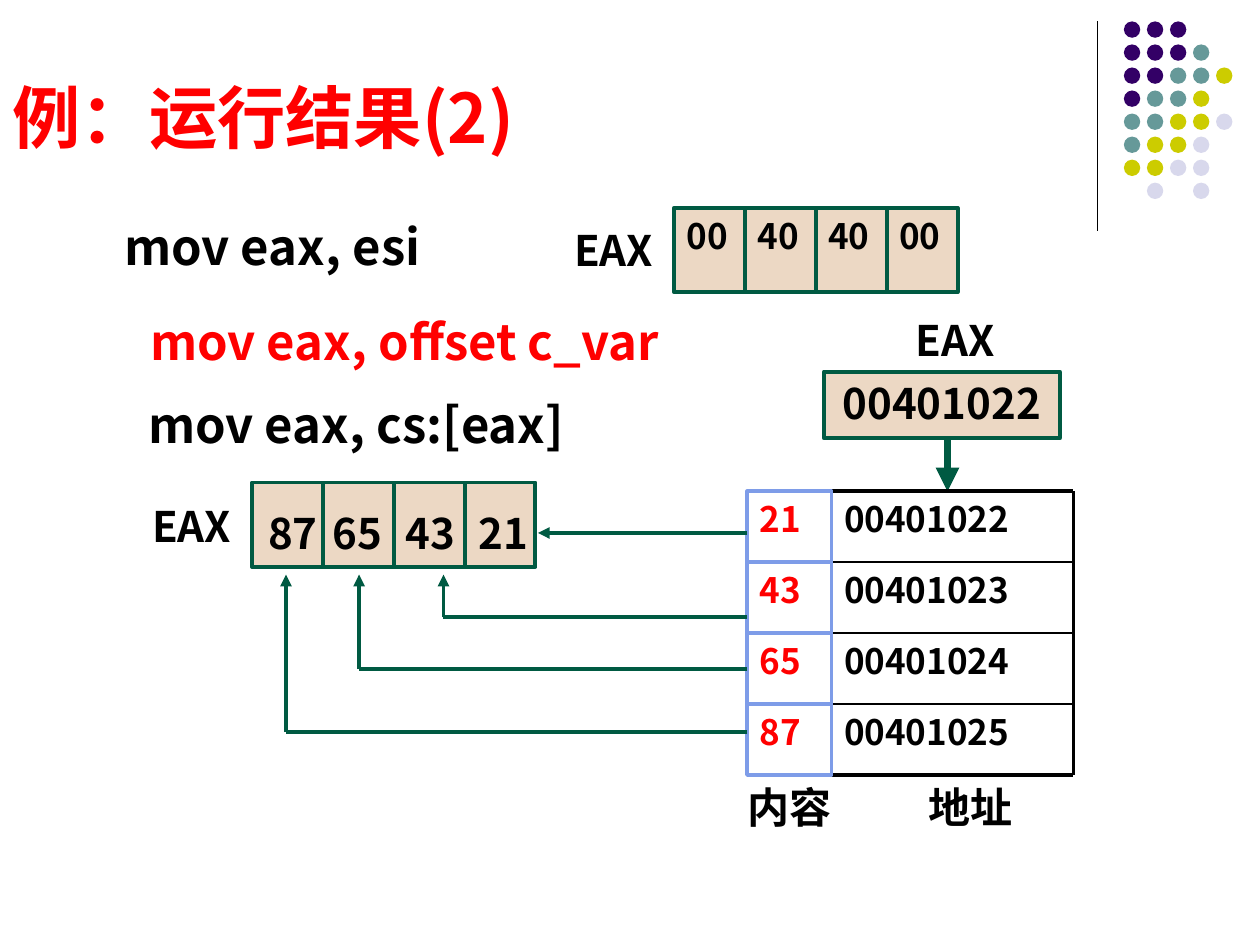
import pptx
import pptx.dml.color
import pptx.enum.shapes
import pptx.enum.text
import pptx.oxml
import pptx.oxml.ns
import pptx.util
from pptx.util import Inches

FONT = "Noto Sans CJK SC"
BLACK, RED, GREEN, SAND, BLUE = "000000", "FF0000", "005A42", "ECD8C4", "7E9CE8"
ALIGN = pptx.enum.text.PP_ALIGN
ANCHOR = pptx.enum.text.MSO_ANCHOR
SHAPE = pptx.enum.shapes.MSO_SHAPE


def paint(code):
    return pptx.dml.color.RGBColor.from_string(code)


def attach(parent, tag, **attrs):
    node = pptx.oxml.parse_xml(f"<a:{tag} {pptx.oxml.ns.nsdecls('a')}/>")
    for name, value in attrs.items():
        node.set(name, value)
    parent.append(node)


class Page:
    def __init__(self, deck):
        self.slide = deck.slides.add_slide(deck.slide_layouts[5])
        self.shapes = self.slide.shapes

    def letter(self, shape, text, size, color=BLACK, align=ALIGN.CENTER,
               anchor=ANCHOR.TOP, wrap=False):
        frame = shape.text_frame
        frame.word_wrap = wrap
        frame.vertical_anchor = anchor
        para = frame.paragraphs[0]
        para.alignment = align
        run = para.add_run()
        run.text = text
        style = {"name": FONT, "size": pptx.util.Pt(size), "bold": True}
        for key, value in style.items():
            setattr(run.font, key, value)
        run.font.color.rgb = paint(color)
        attach(run._r.get_or_add_rPr(), "ea", typeface=FONT)

    def title(self, text, box):
        head = self.shapes.title
        for key, value in zip(("left", "top", "width", "height"), box):
            setattr(head, key, Inches(value))
        self.letter(head, text, 39, RED, ALIGN.LEFT, ANCHOR.MIDDLE, True)

    def label(self, text, box, size=24, **style):
        shape = self.shapes.add_textbox(*map(Inches, box))
        self.letter(shape, text, size, **style)

    def block(self, box, fill=None, line=None, kind=SHAPE.RECTANGLE):
        shape = self.shapes.add_shape(kind, *map(Inches, box))
        shape.shadow.inherit = False
        if fill:
            shape.fill.solid()
            shape.fill.fore_color.rgb = paint(fill)
        else:
            shape.fill.background()
        if line:
            shape.line.color.rgb = paint(line)
            shape.line.width = pptx.util.Pt(2.25)
        else:
            shape.line.fill.background()
        return shape

    def line(self, x1, y1, x2, y2, color=GREEN, width=2.25, arrow=False):
        kind = pptx.enum.shapes.MSO_CONNECTOR.STRAIGHT
        link = self.shapes.add_connector(kind, *map(Inches, (x1, y1, x2, y2)))
        link.line.color.rgb = paint(color)
        link.line.width = pptx.util.Pt(width)
        props = link._element.spPr
        attach(props, "effectLst")
        if arrow:
            attach(props.get_or_add_ln(), "tailEnd", type="triangle")

    def cells(self, left, top):
        step = 2.25 / 4
        return [self.block((left + i * step, top, step, 0.67), SAND, GREEN)
                for i in range(4)]


def main():
    deck = pptx.Presentation()
    deck.slide_width, deck.slide_height = Inches(10), Inches(7.5)
    page = Page(deck)

    # Corner dots and rule
    page.line(8.71, 0.17, 8.71, 1.83, BLACK, 0.75)
    hues = {"P": "330066", "T": "669999", "Y": "CCCC00", "L": "D8D8EC"}
    dots = ["PPP", "PPPT", "PPTTY", "PTTY", "TTYYL", "TYYL", "YYLL", " L L"]
    pitch = 1.28 / 7
    for row, marks in enumerate(dots):
        for col, mark in enumerate(marks):
            if mark in hues:
                spot = (8.92 + col * pitch, 0.17 + row * pitch, 0.13, 0.13)
                page.block(spot, hues[mark], kind=SHAPE.OVAL)

    page.title("例：运行结果(2)", (0, 0.3, 9, 1.25))

    # Code lines
    page.label("mov eax, esi", (0.85, 1.67, 2.62, 0.57), 28)
    page.label("mov eax, offset c_var", (1.04, 2.42, 4.34, 0.57), 28, color=RED)
    page.label("mov eax, cs:[eax]", (1.04, 3.08, 3.57, 0.57), 28)

    # Register names
    for left, top in ((4.43, 1.73), (7.14, 2.45), (1.08, 3.92)):
        page.label("EAX", (left, top, 0.88, 0.5))

    # First register
    for cell, text in zip(page.cells(5.35, 1.65), ("00", "40", "40", "00")):
        page.letter(cell, text, 20, align=ALIGN.LEFT)

    # Pointer register
    page.letter(page.block((6.54, 2.95, 1.87, 0.53), SAND, GREEN), "00401022", 24)
    page.line(7.52, 3.48, 7.52, 3.9, width=4.5, arrow=True)

    # Memory: addresses, then bytes
    left, mid, right, top, end = 5.93, 6.6, 8.52, 3.9, 6.15
    step = (end - top) / 4
    for i in range(5):
        y = top + i * step
        page.line(mid, y, right, y, BLACK, 1 if 0 < i < 4 else 2.25)
    page.line(right, top, right, end, BLACK)
    for i, byte in enumerate(("21", "43", "65", "87")):
        y = top + i * step
        page.label(f"{401022 + i:08}", (mid, y, right - mid, step), 20,
                   align=ALIGN.LEFT, wrap=True)
        cell = page.block((left, y, mid - left, step), line=BLUE)
        page.letter(cell, byte, 20, RED, ALIGN.LEFT, wrap=True)
    page.label("内容", (5.83, end, 0.87, 0.5))
    page.label("地址", (7.27, end, 0.87, 0.5))

    # Loaded register
    page.cells(2, 3.83)
    for text, x in (("87", 2.02), ("65", 2.53), ("43", 3.11), ("21", 3.69)):
        page.label(text, (x, 3.98, 0.61, 0.5))

    # Arrows from bytes to register
    page.line(left, 4.23, 4.27, 4.23, arrow=True)
    for x, y in ((3.52, 4.9), (2.85, 5.31), (2.27, 5.81)):
        page.line(left, y, x, y)
        page.line(x, y, x, 4.56, arrow=True)

    deck.save("out.pptx")


if __name__ == "__main__":
    main()
